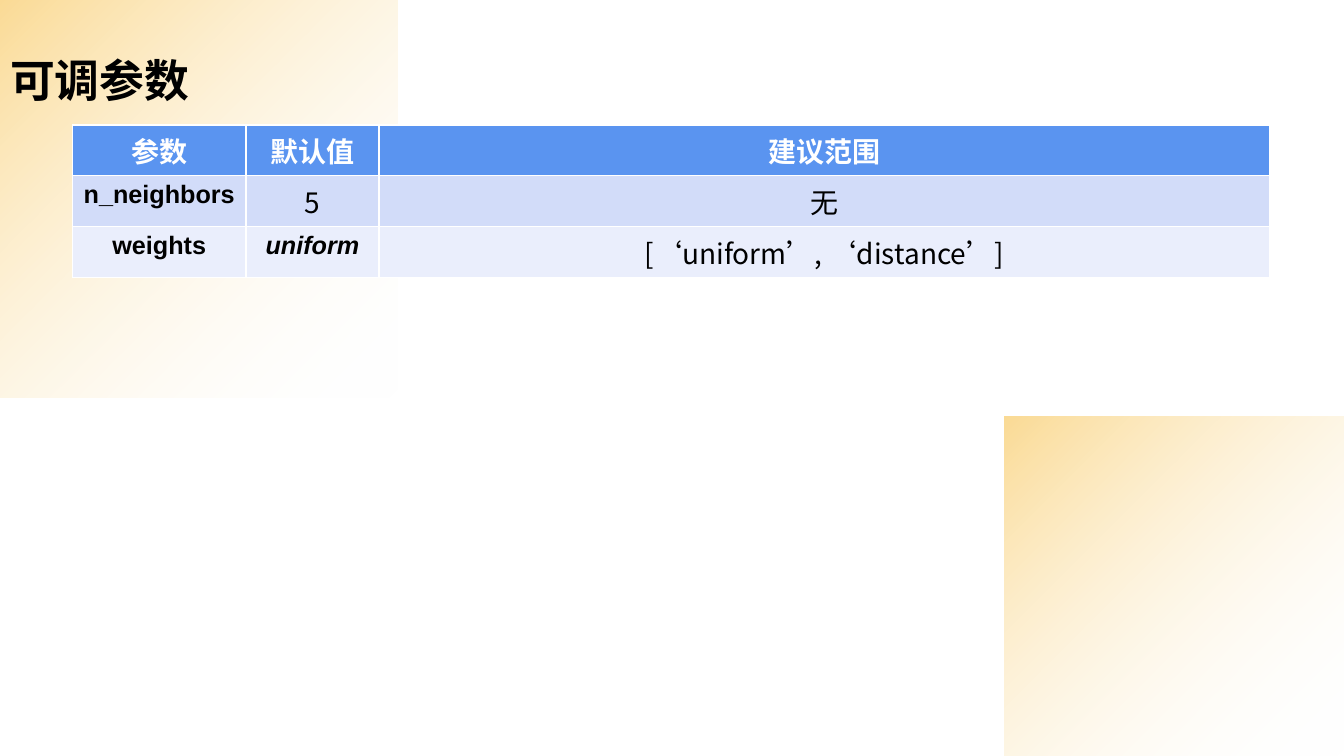
import lxml.etree
import pptx
import pptx.dml.color
import pptx.enum.lang
import pptx.enum.text
import pptx.oxml.ns
import pptx.util

Cm = pptx.util.Cm
RGBColor = pptx.dml.color.RGBColor

BLACK = RGBColor(0x00, 0x00, 0x00)
WHITE = RGBColor(0xFF, 0xFF, 0xFF)
AMBER = RGBColor(0xF7, 0xB6, 0x29)
HEADER_BLUE = RGBColor(0x5A, 0x94, 0xF0)
BAND_BLUES = [RGBColor(0xD2, 0xDC, 0xF9), RGBColor(0xEA, 0xEE, 0xFC)]

LATIN_FONT = "Arial"
CHINESE_FONT = "Noto Sans CJK SC"

COLUMN_WIDTHS = [Cm(4.37), Cm(3.35), Cm(22.45)]
HEADERS = ["参数", "默认值", "建议范围"]
PARAMETERS = [
    ["n_neighbors", "5", "无"],
    ["weights", "uniform", "[‘uniform’, ‘distance’]"],
]
CODE_WORDS = {"n_neighbors", "weights", "uniform"}


def add_glow(slide, left, top, side):
    """Place a square that fades from amber in its top left corner to clear."""
    square = slide.shapes.add_shape(
        pptx.enum.shapes.MSO_SHAPE.RECTANGLE, left, top, side, side)
    square.shadow.inherit = False
    square.line.fill.background()
    namespace = pptx.oxml.ns.nsdecls("a")
    gradient = pptx.oxml.parse_xml(
        f'<a:gradFill {namespace} rotWithShape="1"><a:gsLst>'
        f'<a:gs pos="0"><a:srgbClr val="{AMBER}"><a:alpha val="50000"/></a:srgbClr></a:gs>'
        f'<a:gs pos="100000"><a:srgbClr val="{WHITE}"><a:alpha val="0"/></a:srgbClr></a:gs>'
        '</a:gsLst><a:path path="circle"><a:fillToRect r="100000" b="100000"/></a:path>'
        '</a:gradFill>')
    geometry = square.element.spPr.find(pptx.oxml.ns.qn("a:prstGeom"))
    geometry.addnext(gradient)


def style_paragraph(para, name, size, color, bold, italic=False):
    font = para.font
    font.name = name
    font.size = pptx.util.Pt(size)
    font.color.rgb = color
    font.bold = bold
    font.italic = italic
    font.language_id = pptx.enum.lang.MSO_LANGUAGE_ID.SIMPLIFIED_CHINESE
    defaults = para._p.pPr.find(pptx.oxml.ns.qn("a:defRPr"))
    lxml.etree.SubElement(defaults, pptx.oxml.ns.qn("a:ea"), typeface=CHINESE_FONT)


def place_title(slide, left, top, width, height):
    title = slide.shapes.title
    title.left, title.top, title.width, title.height = left, top, width, height
    frame = title.text_frame
    frame.text = "可调参数"
    frame.vertical_anchor = pptx.enum.text.MSO_ANCHOR.BOTTOM
    para = frame.paragraphs[0]
    para.alignment = pptx.enum.text.PP_ALIGN.LEFT
    para.line_spacing = 0.9
    style_paragraph(para, LATIN_FONT, 32, BLACK, bold=True)


def fill_cell(cell, text, row):
    is_header = row == 0
    is_code = text in CODE_WORDS
    cell.fill.solid()
    cell.fill.fore_color.rgb = HEADER_BLUE if is_header else BAND_BLUES[(row - 1) % 2]
    cell.text = text
    para = cell.text_frame.paragraphs[0]
    para.alignment = pptx.enum.text.PP_ALIGN.CENTER
    style_paragraph(
        para,
        LATIN_FONT if is_code else CHINESE_FONT,
        18 if is_code else 20,
        WHITE if is_header else BLACK,
        bold=is_header or is_code,
        italic=text == "uniform")


def add_parameter_table(slide, left, top, row_height):
    rows = [HEADERS] + PARAMETERS
    table = slide.shapes.add_table(
        len(rows), len(HEADERS), left, top,
        sum(COLUMN_WIDTHS), row_height * len(rows)).table
    for column, width in zip(table.columns, COLUMN_WIDTHS):
        column.width = width
    for row, texts in enumerate(rows):
        for column, text in enumerate(texts):
            fill_cell(table.cell(row, column), text, row)


def build_parameter_slide(deck):
    page = deck.slides.add_slide(deck.slide_layouts.get_by_name("Title Only"))
    add_glow(page, 0, 0, Cm(10.03))
    glow_side = Cm(8.56)
    add_glow(page, deck.slide_width - glow_side, deck.slide_height - glow_side, glow_side)
    place_title(page, 0, 0, deck.slide_width, Cm(2.84))
    add_parameter_table(page, Cm(1.83), Cm(3.15), Cm(1.28))
    # Bring the title in front of the background squares.
    page.shapes.element.append(page.shapes.title.element)


def main():
    deck = pptx.Presentation()
    deck.slide_width = Cm(33.87)
    deck.slide_height = Cm(19.05)
    build_parameter_slide(deck)
    deck.save("out.pptx")


if __name__ == "__main__":
    main()
